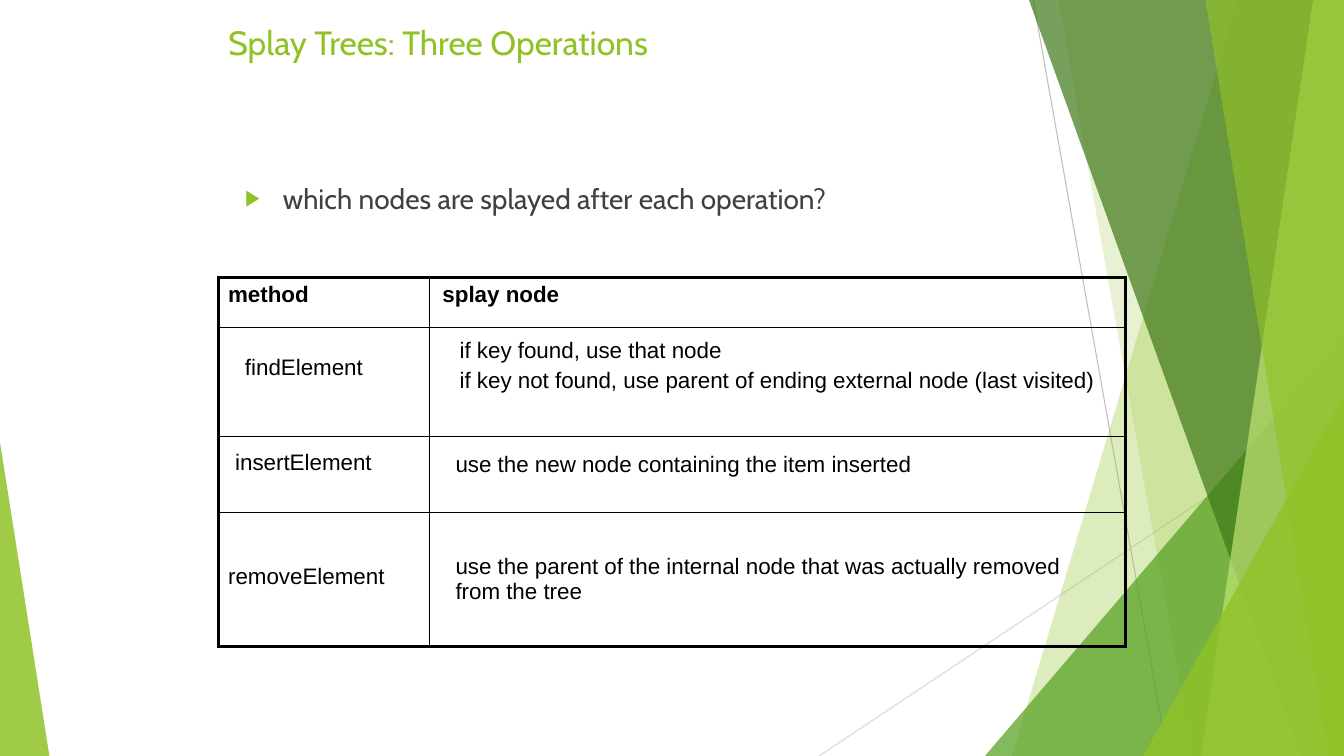
from dataclasses import dataclass
from lxml.etree import SubElement
from pptx import Presentation
from pptx.dml.color import RGBColor
from pptx.enum.shapes import MSO_CONNECTOR, MSO_SHAPE
from pptx.oxml.ns import qn
from pptx.util import Pt


@dataclass(frozen=True)
class Theme:
    lime: str = "90C226"
    green: str = "54A021"
    dark: str = "3F7819"
    pale: str = "C0E474"
    gray: str = "404040"
    black: str = "000000"
    rule: str = "BFBFBF"
    faint: str = "D9D9D9"
    head: str = "Cabin"
    body: str = "Arial"
    title: int = 24
    lead: int = 20
    cell: int = 16


theme = Theme()


def paint(shape, color, alpha):
    shape.shadow.inherit = False
    shape.line.fill.background()
    shape.fill.solid()
    shape.fill.fore_color.rgb = RGBColor.from_string(color)
    tint = shape.fill._xPr.find(qn("a:solidFill"))[0]
    SubElement(tint, qn("a:alpha"), val=str(alpha * 1000))


def write(para, text, face, size, color, bold=False):
    run = para.add_run()
    run.text = text
    run.font.name = face
    run.font.size = Pt(size)
    run.font.bold = bold
    run.font.color.rgb = RGBColor.from_string(color)


deck = Presentation()
deck.slide_width, deck.slide_height = Pt(960), Pt(540)
slide = deck.slides.add_slide(deck.slide_layouts[6])
shapes = slide.shapes

# Thin lines behind the facets
for ends, color in [((738, 0, 834, 540), theme.rule),
                    ((960, 290, 585, 540), theme.faint)]:
    line = shapes.add_connector(MSO_CONNECTOR.STRAIGHT, *map(Pt, ends))
    line.line.width = Pt(0.75)
    line.line.color.rgb = RGBColor.from_string(color)
    SubElement(line._element.spPr, qn("a:effectLst"))

# Facets: a band is (top x, bottom x) up to the right edge,
# a triangle is (left, top, width, apex)
facets = [
    ((884.2, 722.9), theme.lime, 30),
    ((756, 852), theme.lime, 20),
    ((703.5, 240, 256.5, 1), theme.green, 72),
    ((735, 929.5), theme.dark, 70),
    ((938, 858), theme.pale, 70),
    ((861, 949), theme.lime, 65),
    ((816.5, 283, 143.5, 1), theme.lime, 80),
    ((0, 316, 35.3, 0), theme.lime, 85),
]
for form, color, alpha in facets:
    if len(form) == 2:
        top, foot = form
        path = shapes.build_freeform(Pt(top), 0)
        path.add_line_segments([(Pt(960), 0), (Pt(960), Pt(540)),
                                (Pt(foot), Pt(540))])
        facet = path.convert_to_shape()
    else:
        left, top, width, apex = form
        facet = shapes.add_shape(MSO_SHAPE.ISOSCELES_TRIANGLE, Pt(left),
                                 Pt(top), Pt(width), Pt(540 - top))
        facet.adjustments[0] = apex
    paint(facet, color, alpha)

# Title and question
texts = [
    ((156, 12, 648, 66), "Splay Trees: Three Operations",
     theme.title, theme.lime, False),
    ((168, 126, 624, 54), "which nodes are splayed after each operation?",
     theme.lead, theme.gray, True),
]
for place, text, size, color, mark in texts:
    frame = shapes.add_textbox(*map(Pt, place)).text_frame
    frame.word_wrap = True
    para = frame.paragraphs[0]
    if mark:
        props = para._p.get_or_add_pPr()
        props.set("marL", str(Pt(27)))
        props.set("indent", str(-Pt(27)))
        tint = SubElement(props, qn("a:buClr"))
        SubElement(tint, qn("a:srgbClr"), val=theme.lime)
        SubElement(props, qn("a:buSzPct"), val="80000")
        SubElement(props, qn("a:buFont"), typeface=theme.body)
        SubElement(props, qn("a:buChar"), char="▶")
    write(para, text, theme.head, size, color)

# Table: each cell is (left margin, top margin, lines)
rows = [
    (36, (7, 4, ["method"]), (9.4, 4, ["splay node"])),
    (78, (19, 20, ["findElement"]),
     (21.6, 8, ["if key found, use that node",
                "if key not found, use parent of ending external node"
                " (last visited)"])),
    (54, (12, 10, ["insertElement"]),
     (18.7, 11, ["use the new node containing the item inserted"])),
    (96, (7, 37, ["removeElement"]),
     (18.7, 30, ["use the parent of the internal node that was actually"
                 " removed from the tree"])),
]
grid = shapes.add_table(len(rows), 2, Pt(156), Pt(198), Pt(648), Pt(264)).table
grid.first_row = grid.horz_banding = False
grid.columns[0].width, grid.columns[1].width = Pt(150.7), Pt(497.3)
for r, (height, *cells) in enumerate(rows):
    grid.rows[r].height = Pt(height)
    for c, (left, top, lines) in enumerate(cells):
        cell = grid.cell(r, c)
        cell.margin_left, cell.margin_top = Pt(left), Pt(top)
        cell.margin_right, cell.margin_bottom = Pt(15 * c), 0
        # Thick outer frame, thin inner rules
        outer = {"lnL": c == 0, "lnR": c == 1,
                 "lnT": r == 0, "lnB": r == len(rows) - 1}
        props = cell._tc.get_or_add_tcPr()
        for side, thick in outer.items():
            edge = SubElement(props, qn("a:" + side),
                              w=str(Pt(2.25 if thick else 1)))
            fill = SubElement(edge, qn("a:solidFill"))
            SubElement(fill, qn("a:srgbClr"), val=theme.black)
        cell.fill.background()
        for n, text in enumerate(lines):
            frame = cell.text_frame
            para = frame.add_paragraph() if n else frame.paragraphs[0]
            if n:
                para.space_before = Pt(3.2)
            write(para, text, theme.body, theme.cell, theme.black, r == 0)

deck.save("out.pptx")
